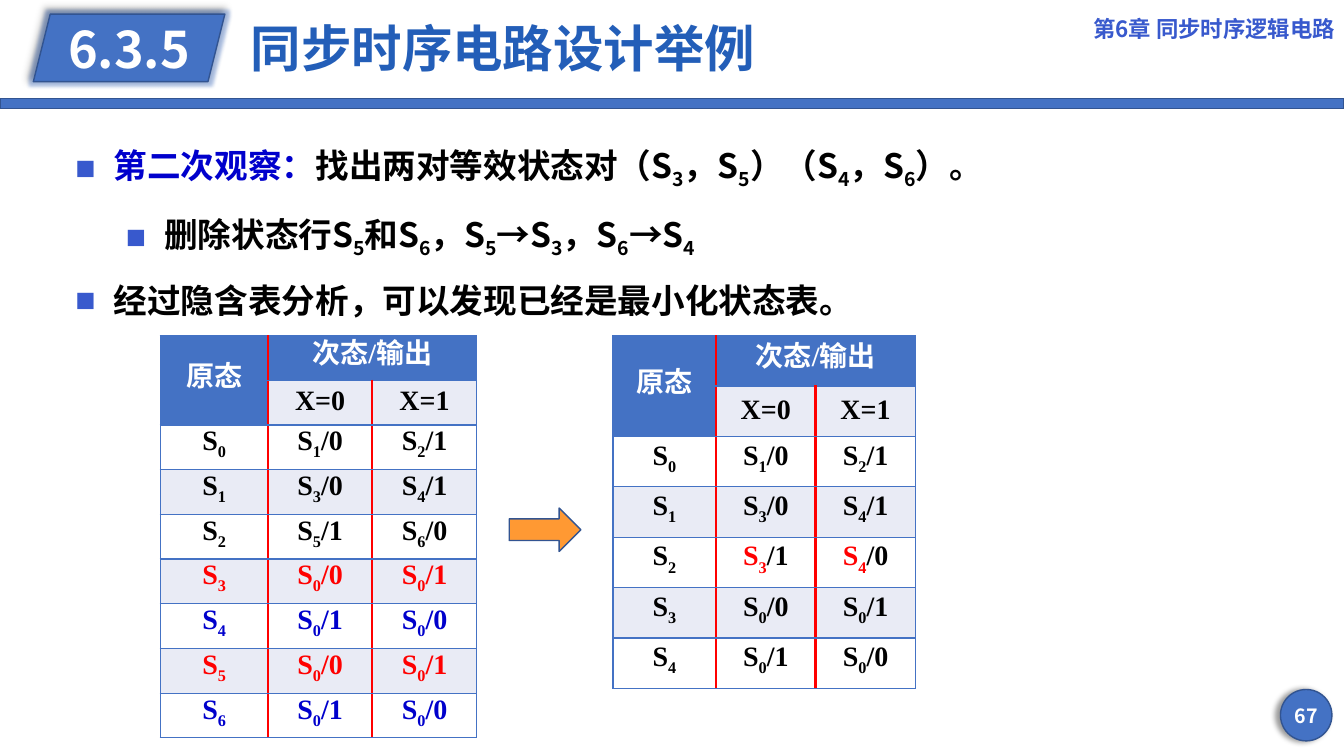
import dataclasses
import pptx
import pptx.dml.color
import pptx.enum.shapes
import pptx.enum.text
import pptx.oxml
import pptx.oxml.ns
import pptx.util

SHAPE = pptx.enum.shapes.MSO_SHAPE
ALIGN = pptx.enum.text.PP_ALIGN
MIDDLE = pptx.enum.text.MSO_ANCHOR.MIDDLE
NAMESPACE = pptx.oxml.ns.nsdecls("a")


@dataclasses.dataclass(frozen=True)
class Theme:
    blue: str = "4472C4"
    edge: str = "325491"
    title: str = "235EB8"
    accent: str = "3859CD"
    navy: str = "0000CC"
    red: str = "FF0000"
    orange: str = "FF9933"
    band: str = "E9EBF5"
    white: str = "FFFFFF"
    ink: str = "000000"
    sans: str = "Noto Sans CJK SC"
    serif: str = "Times New Roman"
    heading: int = 36
    body: int = 24
    cell: int = 20
    chapter: int = 16
    page: int = 14


THEME = Theme()


@dataclasses.dataclass(frozen=True)
class Box:
    left: float
    top: float
    width: float
    height: float

    def share(self, left, top, width, height):
        return Box(self.left + self.width * left / 100, self.top + self.height * top / 100,
                   self.width * width / 100, self.height * height / 100)

    def place(self):
        return [pptx.util.Inches(value) for value in dataclasses.astuple(self)]


def rgb(color):
    return pptx.dml.color.RGBColor.from_string(color)


def element(xml):
    head, rest = xml.split(">", 1)
    cut = len(head) - 1 if head.endswith("/") else len(head)
    return pptx.oxml.parse_xml(f"{head[:cut]} {NAMESPACE}{head[cut:]}>{rest}")


def add_text(para, parts, size, font=THEME.sans):
    for text, color in parts:
        first, *others = text.split("_")
        pieces = [(first, False)]
        for other in others:
            pieces += [(other[0], True), (other[1:], False)]
        for piece, lowered in pieces:
            if not piece:
                continue
            span = para.add_run()
            span.text = piece
            span.font.size = pptx.util.Pt(size)
            span.font.bold = True
            span.font.name = font
            span.font.color.rgb = rgb(color)
            properties = span.font._element
            properties.append(element(f'<a:ea typeface="{THEME.sans}"/>'))
            if lowered:
                properties.set("baseline", "-25000")


def add_label(shape, text, color, size, align):
    frame = shape.text_frame
    frame.word_wrap = True
    frame.vertical_anchor = MIDDLE
    frame.paragraphs[0].alignment = align
    add_text(frame.paragraphs[0], [(text, color)], size)
    return frame


def add_block(page, kind, box, fill):
    shape = page.shapes.add_shape(kind, *box.place())
    shape.shadow.inherit = False
    shape.fill.solid()
    shape.fill.fore_color.rgb = rgb(fill)
    shape.line.color.rgb = rgb(THEME.edge)
    shape.line.width = pptx.util.Pt(1)
    return shape


def add_shadow(shape, degrees):
    effects = shape._element.spPr.find(pptx.oxml.ns.qn("a:effectLst"))
    effects.append(element(
        f'<a:outerShdw blurRad="50800" dist="38100" dir="{degrees * 60000}" rotWithShape="0">'
        f'<a:srgbClr val="{THEME.ink}"><a:alpha val="40000"/></a:srgbClr></a:outerShdw>'))
    return effects


def header(page, box):
    add_block(page, SHAPE.RECTANGLE, box.share(0, 90.74, 100, 9.26), THEME.blue)
    tag = add_block(page, SHAPE.PARALLELOGRAM, box.share(2.48, 12.96, 14.25, 62.04), THEME.blue)
    add_shadow(tag, 225).insert(0, element(
        f'<a:glow rad="63500"><a:srgbClr val="{THEME.blue}">'
        '<a:alpha val="40000"/></a:srgbClr></a:glow>'))
    frame = add_label(tag, "6.3.5", THEME.white, THEME.heading, ALIGN.CENTER)
    frame.margin_left = frame.margin_right = 0
    title = page.shapes.add_textbox(*box.share(17.93, 10.19, 51.61, 74.07).place())
    frame = add_label(title, "同步时序电路设计举例", THEME.title, THEME.heading, ALIGN.LEFT)
    frame.paragraphs[0].line_spacing = 0.9
    chapter = page.shapes.add_textbox(*box.share(79.14, 0, 20.93, 51.85).place())
    add_label(chapter, "第6章 同步时序逻辑电路", THEME.accent, THEME.chapter, ALIGN.RIGHT)


def observations(page, box):
    frame = page.shapes.add_textbox(*box.place()).text_frame
    frame.word_wrap = True
    lines = [
        (0, [("第二次观察：", THEME.navy),
             ("找出两对等效状态对（S_3，S_5）（S_4，S_6）。", THEME.ink)]),
        (1, [("删除状态行S_5和S_6，S_5→S_3，S_6→S_4", THEME.ink)]),
        (0, [("经过隐含表分析，可以发现已经是最小化状态表。", THEME.ink)]),
    ]
    for index, (level, parts) in enumerate(lines):
        para = frame.add_paragraph() if index else frame.paragraphs[0]
        para.level = level
        para.line_spacing = 1.5
        properties = para._p.get_or_add_pPr()
        properties.set("marL", str(pptx.util.Inches(0.38 + 0.5 * level)))
        properties.set("indent", str(pptx.util.Inches(-0.38)))
        for xml in (f'<a:buClr><a:srgbClr val="{THEME.accent}"/></a:buClr>',
                    '<a:buFont typeface="Arial"/>', '<a:buChar char="■"/>'):
            properties.append(element(xml))
        add_text(para, parts, THEME.body)


def set_borders(cell, row, column, inner_width):
    blue, red = (THEME.blue, 1), (THEME.red, 2.25)
    inner = (THEME.red, inner_width) if row else blue
    verticals = [blue, red, inner, blue]
    sides = [("L", verticals[column]), ("R", verticals[column + 1]), ("T", blue), ("B", blue)]
    for index, (side, (color, width)) in enumerate(sides):
        cell._tc.get_or_add_tcPr().insert(index, element(
            f'<a:ln{side} w="{pptx.util.Pt(width)}"><a:solidFill>'
            f'<a:srgbClr val="{color}"/></a:solidFill></a:ln{side}>'))


def state_table(page, box, states, inner_width):
    rows = [[[("原态", THEME.white)], [("次态/输出", THEME.white)], []],
            [[], [("X=0", THEME.ink)], [("X=1", THEME.ink)]]] + states
    table = page.shapes.add_table(len(rows), 3, *box.place()).table
    for column, width in zip(table.columns, (0.34, 0.33, 0.33)):
        column.width = pptx.util.Inches(box.width * width)
    for row, contents in enumerate(rows):
        table.rows[row].height = pptx.util.Inches(box.height / len(rows))
        for column, parts in enumerate(contents):
            cell = table.cell(row, column)
            heading = row == 0 or (row == 1 and column == 0)
            cell.fill.solid()
            cell.fill.fore_color.rgb = rgb(
                THEME.blue if heading else THEME.band if row % 2 else THEME.white)
            cell.margin_left = cell.margin_right = pptx.util.Inches(0.11)
            cell.margin_top = cell.margin_bottom = 0
            cell.vertical_anchor = MIDDLE
            set_borders(cell, row, column, inner_width)
            para = cell.text_frame.paragraphs[0]
            para.alignment = ALIGN.CENTER
            para.line_spacing = pptx.util.Pt(20)
            add_text(para, parts, THEME.cell, THEME.serif)
    table.cell(0, 0).merge(table.cell(1, 0))
    table.cell(0, 1).merge(table.cell(0, 2))


def state_row(state, on_zero, on_one, color=THEME.ink):
    return [[(text, color)] for text in (state, on_zero, on_one)]


def reduction(page, box):
    start = [state_row("S_0", "S_1/0", "S_2/1"), state_row("S_1", "S_3/0", "S_4/1")]
    before = start + [
        state_row("S_2", "S_5/1", "S_6/0"),
        state_row("S_3", "S_0/0", "S_0/1", THEME.red),
        state_row("S_4", "S_0/1", "S_0/0", THEME.navy),
        state_row("S_5", "S_0/0", "S_0/1", THEME.red),
        state_row("S_6", "S_0/1", "S_0/0", THEME.navy),
    ]
    after = start + [
        [[("S_2", THEME.ink)], [("S_3", THEME.red), ("/1", THEME.ink)],
         [("S_4", THEME.red), ("/0", THEME.ink)]],
        state_row("S_3", "S_0/0", "S_0/1"),
        state_row("S_4", "S_0/1", "S_0/0"),
    ]
    state_table(page, box.share(59.95, 0, 40.05, 87.72), after, 2.25)
    state_table(page, box.share(0, 0, 41.92, 100), before, 1.5)
    add_block(page, SHAPE.RIGHT_ARROW, box.share(46.2, 42.86, 9.48, 10.78), THEME.orange)


def page_number(page, box):
    badge = add_block(page, SHAPE.OVAL, box, THEME.blue)
    add_shadow(badge, 180)
    frame = add_label(badge, "67", THEME.white, THEME.page, ALIGN.CENTER)
    frame.margin_left = frame.margin_right = frame.margin_top = frame.margin_bottom = 0


def main():
    deck = pptx.Presentation()
    canvas = Box(0, 0, 13.33, 7.5)
    deck.slide_width = pptx.util.Inches(canvas.width)
    deck.slide_height = pptx.util.Inches(canvas.height)
    page = deck.slides.add_slide(deck.slide_layouts[6])
    header(page, canvas.share(0, 0, 100, 14.4))
    observations(page, canvas.share(4.88, 15.47, 76.14, 25.6))
    reduction(page, canvas.share(11.93, 44.4, 56.19, 53.2))
    page_number(page, canvas.share(95.27, 91.2, 3.83, 6.8))
    deck.save("out.pptx")


if __name__ == "__main__":
    main()
